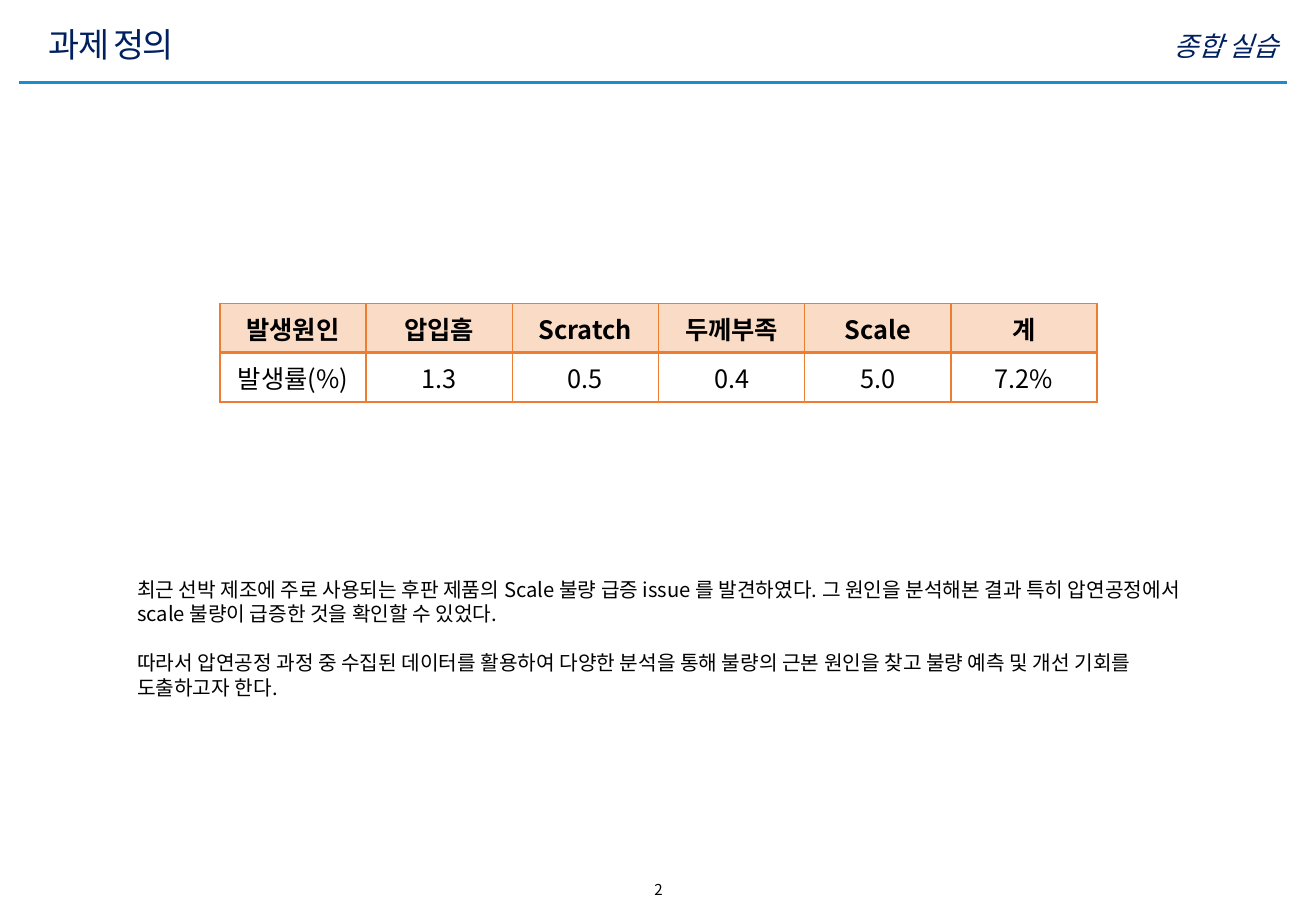
from dataclasses import dataclass

from lxml.etree import SubElement
from pptx import Presentation
from pptx.dml.color import RGBColor
from pptx.enum.shapes import MSO_CONNECTOR
from pptx.enum.text import MSO_ANCHOR, PP_ALIGN
from pptx.oxml.ns import qn
from pptx.util import Inches, Pt

FONT = "Noto Sans CJK KR"
COLOURS = {
    "navy": "002060",
    "black": "000000",
    "rule": "188DD0",
    "border": "ED7D31",
    "header": "FADBC5",
}
CAUSES = ["발생원인", "압입흠", "Scratch", "두께부족", "Scale", "계"]
RATES = ["발생률(%)", "1.3", "0.5", "0.4", "5.0", "7.2%"]


@dataclass
class TextBlock:
    left: float
    top: float
    width: float
    height: float
    paragraphs: list[str]
    size: float
    colour: str = "black"
    align: PP_ALIGN = PP_ALIGN.LEFT
    anchor: MSO_ANCHOR = MSO_ANCHOR.TOP
    inset: float = 0.05
    italic: bool = False
    tracking: int = 0
    line_height: float | None = None
    gap: float = 0


TITLE = TextBlock(0.3, 0.14, 8.51, 0.44, ["과제 정의"], 20, "navy",
                  anchor=MSO_ANCHOR.MIDDLE, tracking=-100)
BLOCKS = [
    TextBlock(6.55, 0.24, 4.07, 0.3, ["종합 실습"], 16, "navy",
              align=PP_ALIGN.RIGHT, inset=0, italic=True),
    TextBlock(1.03, 4.7, 9.01, 1.11, [
        "최근 선박 제조에 주로 사용되는 후판 제품의 Scale 불량 급증 issue 를 발견하였다. "
        "그 원인을 분석해본 결과 특히 압연공정에서 scale 불량이 급증한 것을 확인할 수 있었다.",
        "따라서 압연공정 과정 중 수집된 데이터를 활용하여 다양한 분석을 통해 불량의 근본 원인을 찾고 "
        "불량 예측 및 개선 기회를 도출하고자 한다.",
    ], 12, line_height=14.5, gap=14.5),
    TextBlock(4.39, 7.2, 2.06, 0.25, ["2"], 8.9, align=PP_ALIGN.CENTER),
]


def colour(name: str) -> RGBColor:
    return RGBColor.from_string(COLOURS[name])


def add_span(para, text: str, size: float, shade: str, bold=False, italic=False, tracking=0) -> None:
    span = para.add_run()
    span.text = text
    span.font.size = Pt(size)
    span.font.bold = bold
    span.font.italic = italic
    span.font.color.rgb = colour(shade)
    span.font.name = FONT
    properties = span.font._element
    SubElement(properties, qn("a:ea")).set("typeface", FONT)
    if tracking:
        properties.set("spc", str(tracking))


def fill_box(box, block: TextBlock) -> None:
    box.left, box.top = Inches(block.left), Inches(block.top)
    box.width, box.height = Inches(block.width), Inches(block.height)
    frame = box.text_frame
    frame.word_wrap = True
    frame.vertical_anchor = block.anchor
    frame.margin_left = frame.margin_right = Inches(0.1)
    frame.margin_top = frame.margin_bottom = Inches(block.inset)
    for index, text in enumerate(block.paragraphs):
        para = frame.add_paragraph() if index else frame.paragraphs[0]
        para.alignment = block.align
        para.space_before = Pt(block.gap if index else 0)
        if block.line_height:
            para.line_spacing = Pt(block.line_height)
        add_span(para, text, block.size, block.colour,
                 italic=block.italic, tracking=block.tracking)


def set_border(cell, side: str, width: float) -> None:
    line = SubElement(cell._tc.get_or_add_tcPr(), qn(f"a:{side}"), w=str(Pt(width)))
    fill = SubElement(line, qn("a:solidFill"))
    SubElement(fill, qn("a:srgbClr"), val=COLOURS["border"])


def add_rate_table(page) -> None:
    rows = [CAUSES, RATES]
    table = page.shapes.add_table(len(rows), len(CAUSES), Inches(1.81), Inches(2.5),
                                  Inches(7.22), Inches(0.81)).table
    table.horz_banding = False
    for row, texts in enumerate(rows):
        is_header = row == 0
        for column, text in enumerate(texts):
            cell = table.cell(row, column)
            cell.vertical_anchor = MSO_ANCHOR.MIDDLE
            cell.margin_left = cell.margin_right = Inches(0.05)
            cell.margin_top = cell.margin_bottom = Inches(0.03)
            # Borders come before the fill in the cell properties
            for side in ("lnL", "lnR", "lnT", "lnB"):
                is_divider = side == ("lnB" if is_header else "lnT")
                set_border(cell, side, 2 if is_divider else 1)
            if is_header:
                cell.fill.solid()
                cell.fill.fore_color.rgb = colour("header")
            else:
                cell.fill.background()
            para = cell.text_frame.paragraphs[0]
            para.alignment = PP_ALIGN.CENTER
            add_span(para, text, 15, "black", bold=is_header)


def main() -> None:
    deck = Presentation()
    deck.slide_width, deck.slide_height = Inches(10.83), Inches(7.5)
    page = deck.slides.add_slide(deck.slide_layouts[5])

    # Header: title and rule
    fill_box(page.shapes.title, TITLE)
    rule = page.shapes.add_connector(MSO_CONNECTOR.STRAIGHT, Inches(0.16), Inches(0.68),
                                     Inches(10.59), Inches(0.68))
    rule.line.color.rgb = colour("rule")
    rule.line.width = Pt(2)
    SubElement(rule._element.spPr, qn("a:effectLst"))

    # Section label, body text and page number
    for block in BLOCKS:
        fill_box(page.shapes.add_textbox(0, 0, 0, 0), block)

    # Defect rates by cause
    add_rate_table(page)
    deck.save("out.pptx")


if __name__ == "__main__":
    main()
